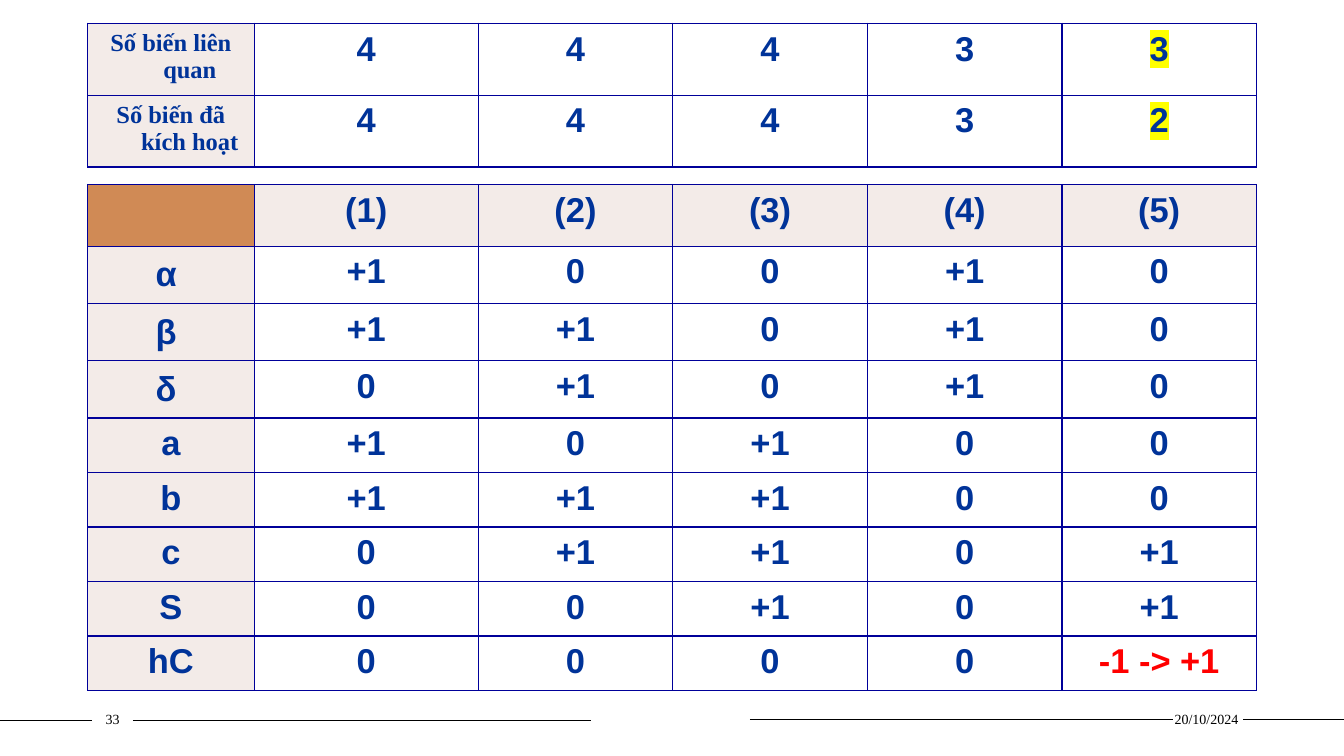
from lxml import etree
from pptx import Presentation
from pptx import util as u
from pptx.dml.color import RGBColor
from pptx.enum import shapes, text
from pptx.oxml import ns

NAVY = RGBColor(0x00, 0x33, 0x99)
BORDER = RGBColor(0x00, 0x00, 0x99)
BLACK = RGBColor(0, 0, 0)
RED = RGBColor(0xFF, 0, 0)
YELLOW = RGBColor(0xFF, 0xFF, 0)
ORANGE = RGBColor(0xD0, 0x8A, 0x55)
PALE = RGBColor(0xF3, 0xEB, 0xE8)

SANS, SERIF = "Arial", "Times New Roman"
TABLE_LEFT = 62.6
COLUMN_WIDTHS = [119, 160] + [139] * 4
LETTER_ROW, GREEK_ROW = 37.7, 39.7

VARIABLE_COUNTS = [
    ["Số biến liên quan", "4", "4", "4", "3", "3"],
    ["Số biến đã kích hoạt", "4", "4", "4", "3", "2"],
]
RULE_MATRIX = [
    ["", "(1)", "(2)", "(3)", "(4)", "(5)"],
    ["α ", "+1", "0", "0", "+1", "0"],
    ["β ", "+1", "+1", "0", "+1", "0"],
    ["δ ", "0", "+1", "0", "+1", "0"],
    ["a", "+1", "0", "+1", "0", "0"],
    ["b", "+1", "+1", "+1", "0", "0"],
    ["c", "0", "+1", "+1", "0", "+1"],
    ["S", "0", "0", "+1", "0", "+1"],
    ["hC", "0", "0", "0", "0", "-1 -> +1"],
]


def add_color(parent, tag, color):
    holder = etree.SubElement(parent, ns.qn(tag))
    etree.SubElement(holder, ns.qn("a:srgbClr"), val=str(color))
    return holder


def style_font(font, name, size, color, bold=False):
    font.name, font.size, font.bold = name, u.Pt(size), bold
    font.color.rgb = color


def highlight(span, color):
    props = span.font._element if hasattr(span.font, "_element") else span._r.get_or_add_rPr()
    mark = add_color(props, "a:highlight", color)
    props.find(ns.qn("a:solidFill")).addnext(mark)


def set_borders(cell):
    props = cell._tc.get_or_add_tcPr()
    for index, side in enumerate(("a:lnL", "a:lnR", "a:lnT", "a:lnB")):
        line = etree.Element(ns.qn(side), w=str(u.Pt(1)))
        add_color(line, "a:solidFill", BORDER)
        props.insert(index, line)


def fill_cell(cell, content, fill, name=SANS, size=24.6, color=NAVY):
    cell.margin_left = cell.margin_right = u.Pt(10)
    cell.margin_top = cell.margin_bottom = u.Pt(4.7)
    if fill is None:
        cell.fill.background()
    else:
        cell.fill.solid()
        cell.fill.fore_color.rgb = fill
    set_borders(cell)
    para = cell.text_frame.paragraphs[0]
    para.text = content
    para.alignment = text.PP_ALIGN.CENTER
    # Hanging indent
    props = para._p.get_or_add_pPr()
    props.set("marL", str(u.Pt(27)))
    props.set("indent", str(u.Pt(-27)))
    for span in para.runs:
        style_font(span.font, name, size, color, True)


def add_grid(page, top, row_heights):
    frame = page.shapes.add_table(
        len(row_heights), len(COLUMN_WIDTHS), u.Pt(TABLE_LEFT), u.Pt(top),
        u.Pt(sum(COLUMN_WIDTHS)), u.Pt(sum(row_heights)))
    table = frame.table
    table.first_row = table.horz_banding = False
    for column, width in zip(table.columns, COLUMN_WIDTHS):
        column.width = u.Pt(width)
    for row, height in zip(table.rows, row_heights):
        row.height = u.Pt(height)
    return table


def add_rule_matrix(page):
    heights = [44] + [GREEK_ROW] * 3 + [LETTER_ROW] * 5
    table = add_grid(page, 131.8, heights)
    for r, values in enumerate(RULE_MATRIX):
        for c, value in enumerate(values):
            fill = PALE if r == 0 or c == 0 else None
            if r == c == 0:
                fill = ORANGE
            color = RED if "->" in value else NAVY
            cell = table.cell(r, c)
            fill_cell(cell, value, fill, color=color)
            if c == 0 and heights[r] == GREEK_ROW:
                cell.margin_top = u.Pt(6.7)


def add_variable_counts(page):
    table = add_grid(page, 16.6, [49.7] * 2)
    for r, (label, *counts) in enumerate(VARIABLE_COUNTS):
        fill_cell(table.cell(r, 0), label, PALE, SERIF, 17.5)
        for c, count in enumerate(counts, 1):
            fill_cell(table.cell(r, c), count, None)
        last = table.cell(r, len(counts))
        highlight(last.text_frame.paragraphs[0].runs[0], YELLOW)


def add_rule(page, start, end, y):
    line = page.shapes.add_connector(
        shapes.MSO_CONNECTOR.STRAIGHT, u.Pt(start), u.Pt(y), u.Pt(end), u.Pt(y))
    line.line.color.rgb = BLACK
    line.line.width = u.Pt(1)
    etree.SubElement(line._element.spPr, ns.qn("a:effectLst"))


def add_footer_text(page, content, left, width):
    box = page.shapes.add_textbox(u.Pt(left), u.Pt(504), u.Pt(width), u.Pt(19.4))
    frame = box.text_frame
    frame.word_wrap = True
    frame.margin_left = frame.margin_right = 0
    frame.vertical_anchor = text.MSO_ANCHOR.MIDDLE
    para = frame.paragraphs[0]
    para.text = content
    para.alignment = text.PP_ALIGN.CENTER
    style_font(para.runs[0].font, SERIF, 10, BLACK)


def main():
    deck = Presentation()
    deck.slide_width, deck.slide_height = u.Pt(960), u.Pt(540)
    page = deck.slides.add_slide(deck.slide_layouts[6])

    # Footer
    for start, end, y in ((0, 66, 514.6), (95, 422.5, 514.6),
                          (535.7, 838, 514), (888, 960, 514)):
        add_rule(page, start, end, y)
    add_footer_text(page, "20/10/2024", 836.6, 50.4)
    add_footer_text(page, "33", 66, 29)

    # Tables
    add_rule_matrix(page)
    add_variable_counts(page)
    deck.save("out.pptx")


if __name__ == "__main__":
    main()
